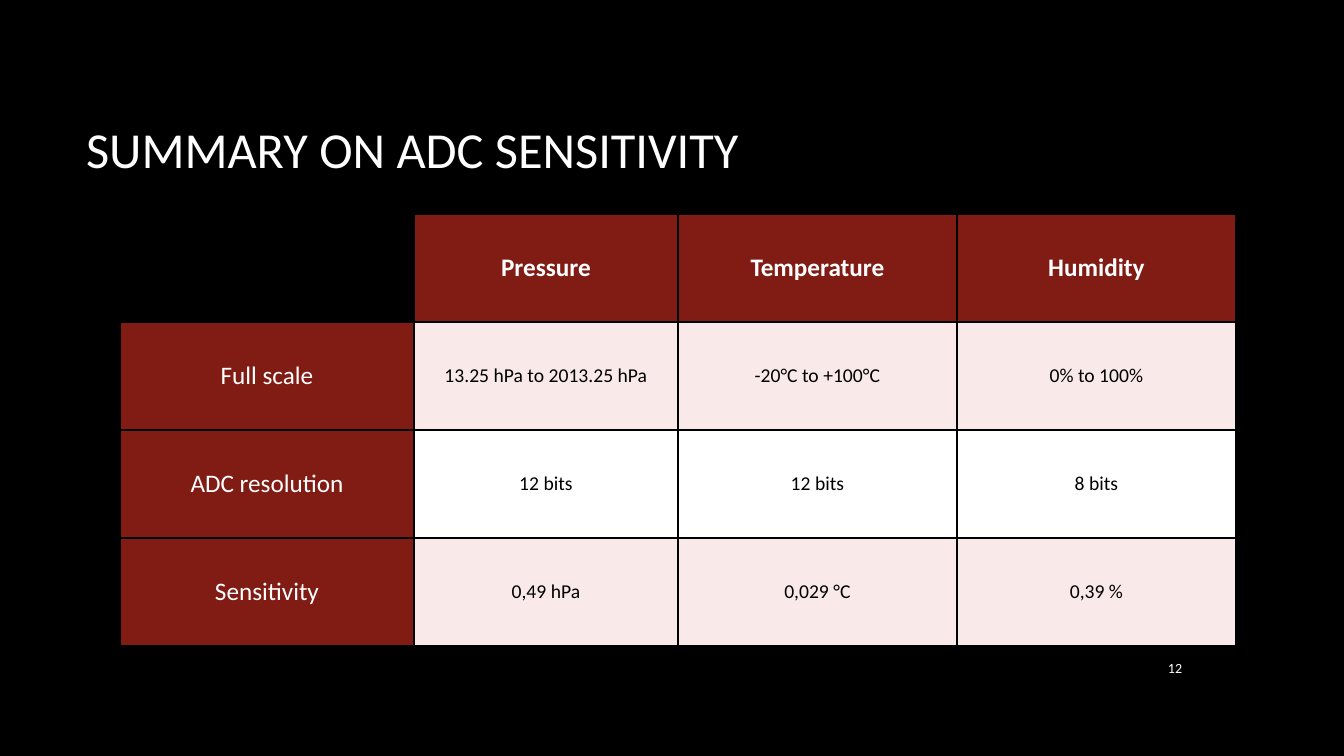
from dataclasses import dataclass

from lxml.etree import SubElement
from pptx import Presentation
from pptx.dml.color import RGBColor
from pptx.enum.text import MSO_ANCHOR, PP_ALIGN
from pptx.oxml import parse_xml
from pptx.oxml.ns import nsdecls, qn
from pptx.util import Pt

PAGE_WIDTH, PAGE_HEIGHT = 1344, 756
EMU_PER_PX = 12192000 / PAGE_WIDTH


def px(length):
    return round(length * EMU_PER_PX)


@dataclass(frozen=True)
class Theme:
    font: str = "Calibri"
    background: str = "000000"
    light_text: str = "FFFFFF"
    dark_text: str = "000000"
    border: str = "000000"
    header: str = "801C14"
    bands: tuple = ("FAE9E9", "FFFFFF")
    title_size: int = 36
    header_size: int = 18
    body_size: int = 14
    number_size: int = 10
    border_width: int = 1


class SlideBuilder:
    def __init__(self, deck, theme):
        self.theme = theme
        self.page = deck.slides.add_slide(deck.slide_layouts[5])
        fill = self.page.background.fill
        fill.solid()
        fill.fore_color.rgb = RGBColor.from_string(theme.background)

    def add_text(self, frame, text, size, color, align, bold=False):
        frame.word_wrap = True
        frame.vertical_anchor = MSO_ANCHOR.MIDDLE
        para = frame.paragraphs[0]
        para.alignment = align
        span = para.add_run()
        span.text = text
        span.font.name = self.theme.font
        span.font.size = Pt(size)
        span.font.bold = bold
        span.font.color.rgb = RGBColor.from_string(color)

    def title(self, text, left, top, width, height):
        box = self.page.shapes.title
        box.left, box.top, box.width, box.height = map(px, (left, top, width, height))
        self.add_text(box.text_frame, text, self.theme.title_size,
                      self.theme.light_text, PP_ALIGN.LEFT)

    def page_number(self, text, left, top, width, height):
        box = self.page.shapes.add_textbox(*map(px, (left, top, width, height)))
        self.add_text(box.text_frame, text, self.theme.number_size,
                      self.theme.light_text, PP_ALIGN.RIGHT)

    def border(self, cell):
        properties = cell._tc.get_or_add_tcPr()
        for position, side in enumerate(("lnL", "lnR", "lnT", "lnB")):
            line = parse_xml(f'<a:{side} {nsdecls("a")} w="{Pt(self.theme.border_width)}"/>')
            solid = SubElement(line, qn("a:solidFill"))
            SubElement(solid, qn("a:srgbClr"), val=self.theme.border)
            properties.insert(position, line)

    def cell(self, cell, text, row, column):
        theme = self.theme
        is_header = row == 0 or column == 0
        cell.vertical_anchor = MSO_ANCHOR.MIDDLE
        if text:
            cell.fill.solid()
            color = theme.header if is_header else theme.bands[(row - 1) % 2]
            cell.fill.fore_color.rgb = RGBColor.from_string(color)
            self.add_text(cell.text_frame, text,
                          theme.header_size if is_header else theme.body_size,
                          theme.light_text if is_header else theme.dark_text,
                          PP_ALIGN.CENTER, bold=row == 0)
        else:
            cell.fill.background()
        self.border(cell)

    def table(self, rows, left, top, column_widths, row_height):
        frame = self.page.shapes.add_table(
            len(rows), len(column_widths), px(left), px(top),
            px(sum(column_widths)), px(row_height * len(rows)))
        table = frame.table
        table.first_row = table.horz_banding = False
        for column, width in zip(table.columns, column_widths):
            column.width = px(width)
        for row, texts in enumerate(rows):
            table.rows[row].height = px(row_height)
            for column, text in enumerate(texts):
                self.cell(table.cell(row, column), text, row, column)


SENSITIVITY_ROWS = [
    ("", "Pressure", "Temperature", "Humidity"),
    ("Full scale", "13.25 hPa to 2013.25 hPa", "-20°C to +100°C", "0% to 100%"),
    ("ADC resolution", "12 bits", "12 bits", "8 bits"),
    ("Sensitivity", "0,49 hPa", "0,029 °C", "0,39 %"),
]


def main():
    deck = Presentation()
    deck.slide_width, deck.slide_height = px(PAGE_WIDTH), px(PAGE_HEIGHT)
    slide = SlideBuilder(deck, Theme())
    slide.title("SUMMARY ON ADC SENSITIVITY", 76, 68, 1117, 160)
    slide.page_number("12", 1132, 647, 60, 41)
    slide.table(SENSITIVITY_ROWS, 120, 214, (294, 264, 279, 279), 108)
    deck.save("out.pptx")


if __name__ == "__main__":
    main()
